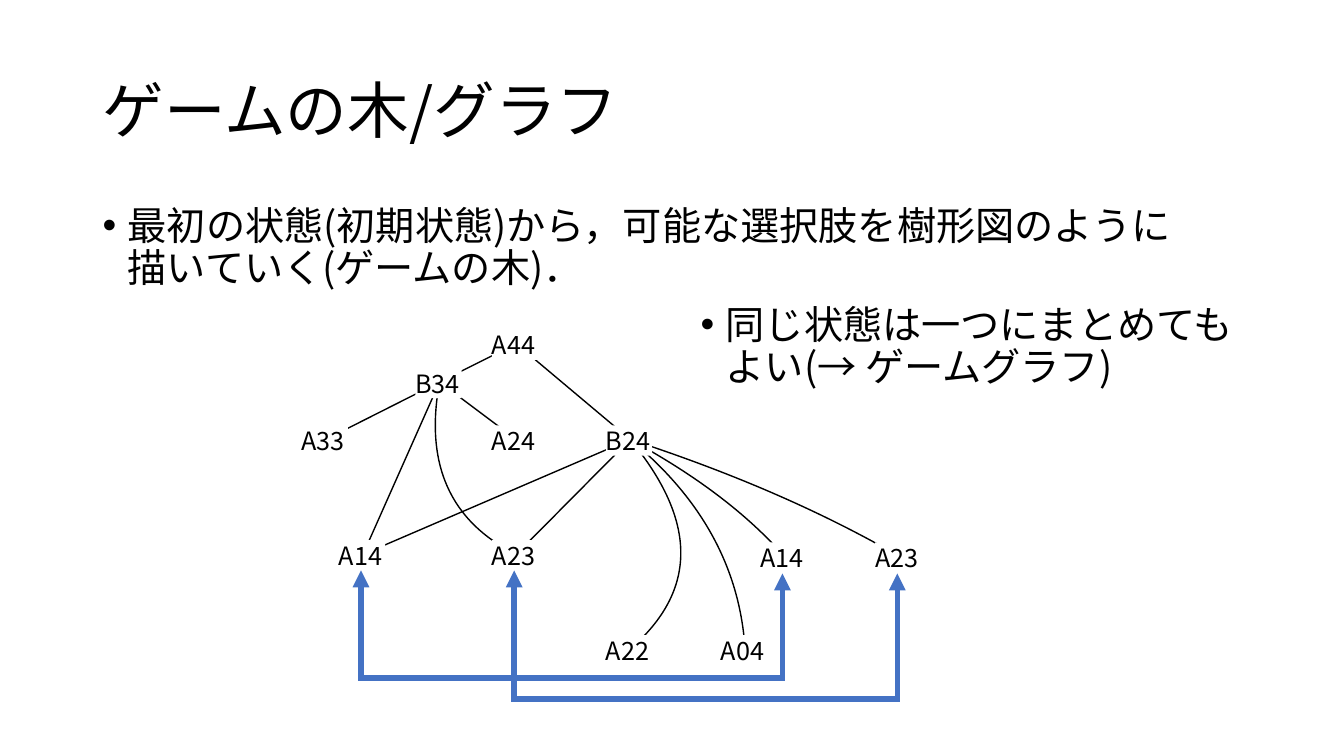
from dataclasses import dataclass

from lxml import etree
from pptx import Presentation
from pptx import util as u
from pptx.dml.color import RGBColor
from pptx.enum import shapes, text
from pptx.oxml.ns import qn

FONT = "Noto Sans CJK JP"
COLORS = {"ink": "000000", "paper": "FFFFFF", "link": "4472C4"}
LABEL_WIDTH, LABEL_HEIGHT = 0.46, 0.3


@dataclass(frozen=True)
class Node:
    label: str
    x: float
    y: float


@dataclass(frozen=True)
class Edge:
    start: str
    end: str
    controls: tuple = ()


@dataclass(frozen=True)
class SameState:
    left: float
    right: float
    bottom: float


NODES = {
    "A44": Node("A44", 5.12, 3.41),
    "B34": Node("B34", 4.36, 3.79),
    "B24": Node("B24", 6.25, 4.36),
    "A33": Node("A33", 3.23, 4.36),
    "A24": Node("A24", 5.12, 4.36),
    "A14": Node("A14", 3.6, 5.5),
    "A23": Node("A23", 5.12, 5.5),
    "A14 repeated": Node("A14", 7.78, 5.52),
    "A23 repeated": Node("A23", 8.92, 5.52),
    "A22": Node("A22", 6.25, 6.44),
    "A04": Node("A04", 7.39, 6.44),
}
EDGES = [
    Edge("A44", "B34"),
    Edge("A44", "B24"),
    Edge("B34", "A33"),
    Edge("B34", "A24"),
    Edge("B34", "A14"),
    Edge("B34", "A23", ((4.21, 4.6), (4.46, 5.17))),
    Edge("B24", "A14"),
    Edge("B24", "A23"),
    Edge("B24", "A22", ((6.92, 5.17), (6.92, 5.86))),
    Edge("B24", "A04", ((6.97, 4.95), (7.34, 5.65))),
    Edge("B24", "A14 repeated", ((6.91, 4.72), (7.41, 5.1))),
    Edge("B24", "A23 repeated", ((7.26, 4.69), (8.14, 5.07))),
]
SAME_STATES = [SameState(3.58, 7.76, 6.73), SameState(5.1, 8.9, 6.94)]
SAME_STATE_TOPS = (5.66, 5.69)


def rgb(name: str) -> RGBColor:
    return RGBColor.from_string(COLORS[name])


def write_text(paragraph, content: str, *, size: float, spacing: float = 1.0,
               before: float = 0, bullet_indent: float = 0) -> None:
    """Fill a paragraph; a vertical tab in the content is a line break."""
    if bullet_indent:
        properties = paragraph._p.get_or_add_pPr()
        properties.set("marL", str(u.Inches(bullet_indent)))
        properties.set("indent", str(u.Inches(-0.25)))
        etree.SubElement(properties, qn("a:buFont"), typeface="Arial")
        etree.SubElement(properties, qn("a:buChar"), char="•")
    paragraph.alignment = text.PP_ALIGN.LEFT
    paragraph.line_spacing = spacing
    paragraph.space_before = u.Pt(before)
    paragraph.text = content
    for run in paragraph.runs:
        run.font.size = u.Pt(size)
        run.font.color.rgb = rgb("ink")
        run.font.name = FONT
        etree.SubElement(run.font._element, qn("a:ea"), typeface=FONT)


def add_title(slide) -> None:
    title = slide.shapes.title
    title.left, title.top = u.Inches(0.92), u.Inches(0.4)
    title.width, title.height = u.Inches(11.5), u.Inches(1.45)
    frame = title.text_frame
    frame.auto_size = text.MSO_AUTO_SIZE.NONE
    frame.vertical_anchor = text.MSO_ANCHOR.MIDDLE
    write_text(frame.paragraphs[0], "ゲームの木/グラフ", size=44, spacing=0.9)


def add_body(slide) -> None:
    box = slide.shapes.add_textbox(u.Inches(0.92), u.Inches(2), u.Inches(11.5), u.Inches(4.76))
    frame = box.text_frame
    frame.word_wrap = True
    write_text(frame.paragraphs[0],
               "最初の状態(初期状態)から，可能な選択肢を樹形図のように\v描いていく(ゲームの木)．",
               size=28, spacing=0.9, bullet_indent=0.25)
    write_text(frame.add_paragraph(), "同じ状態は一つにまとめてもよい(→ ゲームグラフ)",
               size=28, spacing=0.9, before=10, bullet_indent=6.18)


def add_line(slide, kind, start: tuple, end: tuple, *, color: str, width: float):
    points = [u.Inches(value) for value in (*start, *end)]
    connector = slide.shapes.add_connector(kind, *points)
    connector.line.color.rgb = rgb(color)
    connector.line.width = u.Pt(width)
    etree.SubElement(connector._element.spPr, qn("a:effectLst"))
    return connector


def add_curve(slide, points: list) -> None:
    """Draw one cubic curve through a start, two control points and an end."""
    start, *others = [(u.Inches(x), u.Inches(y)) for x, y in points]
    builder = slide.shapes.build_freeform(*start)
    builder.add_line_segments(others, close=False)
    curve = builder.convert_to_shape()
    segments = list(curve._element.iter(qn("a:lnTo")))
    cubic = etree.SubElement(segments[0].getparent(), qn("a:cubicBezTo"))
    for segment in segments:
        cubic.append(segment[0])
        segment.getparent().remove(segment)
    curve.shadow.inherit = False
    curve.fill.background()
    curve.line.color.rgb = rgb("ink")
    curve.line.width = u.Pt(1)


def add_edge(slide, edge: Edge) -> None:
    start, end = ((NODES[key].x, NODES[key].y) for key in (edge.start, edge.end))
    if edge.controls:
        add_curve(slide, [start, *edge.controls, end])
    else:
        add_line(slide, shapes.MSO_CONNECTOR.STRAIGHT, start, end, color="ink", width=1)


def add_label(slide, node: Node) -> None:
    label = slide.shapes.add_shape(
        shapes.MSO_SHAPE.RECTANGLE, u.Inches(node.x - 0.24), u.Inches(node.y - 0.14),
        u.Inches(LABEL_WIDTH), u.Inches(LABEL_HEIGHT))
    label.shadow.inherit = False
    label.fill.solid()
    label.fill.fore_color.rgb = rgb("paper")
    label.line.fill.background()
    frame = label.text_frame
    frame.margin_left = frame.margin_right = frame.margin_top = frame.margin_bottom = 0
    frame.word_wrap = False
    frame.auto_size = text.MSO_AUTO_SIZE.SHAPE_TO_FIT_TEXT
    frame.vertical_anchor = text.MSO_ANCHOR.TOP
    write_text(frame.paragraphs[0], node.label, size=18)


def add_same_state_arrow(slide, pair: SameState) -> None:
    """Draw a U-shaped double arrow: an elbow connector turned by 270 degrees."""
    start_y, end_y = SAME_STATE_TOPS
    rise, span = end_y - start_y, pair.right - pair.left
    center_x, center_y = (pair.left + pair.right) / 2, (start_y + end_y) / 2
    arrow = add_line(slide, shapes.MSO_CONNECTOR.ELBOW,
                     (center_x + rise / 2, center_y - span / 2),
                     (center_x - rise / 2, center_y + span / 2), color="link", width=4)
    properties = arrow._element.spPr
    properties.find(qn("a:xfrm")).set("rot", str(270 * 60000))
    geometry = properties.find(qn("a:prstGeom"))
    adjustments = geometry.find(qn("a:avLst"))
    if adjustments is None:
        adjustments = etree.SubElement(geometry, qn("a:avLst"))
    depth = round((pair.bottom - start_y) / rise * 100000)
    etree.SubElement(adjustments, qn("a:gd"), name="adj1", fmla=f"val {depth}")
    outline = properties.find(qn("a:ln"))
    etree.SubElement(outline, qn("a:miter"), lim="800000")
    for tag in ("a:headEnd", "a:tailEnd"):
        etree.SubElement(outline, qn(tag), type="triangle")


def main() -> None:
    presentation = Presentation()
    presentation.slide_width, presentation.slide_height = u.Inches(13.33), u.Inches(7.5)
    slide = presentation.slides.add_slide(presentation.slide_layouts[5])
    add_title(slide)
    add_body(slide)
    for edge in EDGES:
        add_edge(slide, edge)
    for node in NODES.values():
        add_label(slide, node)
    for pair in SAME_STATES:
        add_same_state_arrow(slide, pair)
    presentation.save("out.pptx")


if __name__ == "__main__":
    main()
